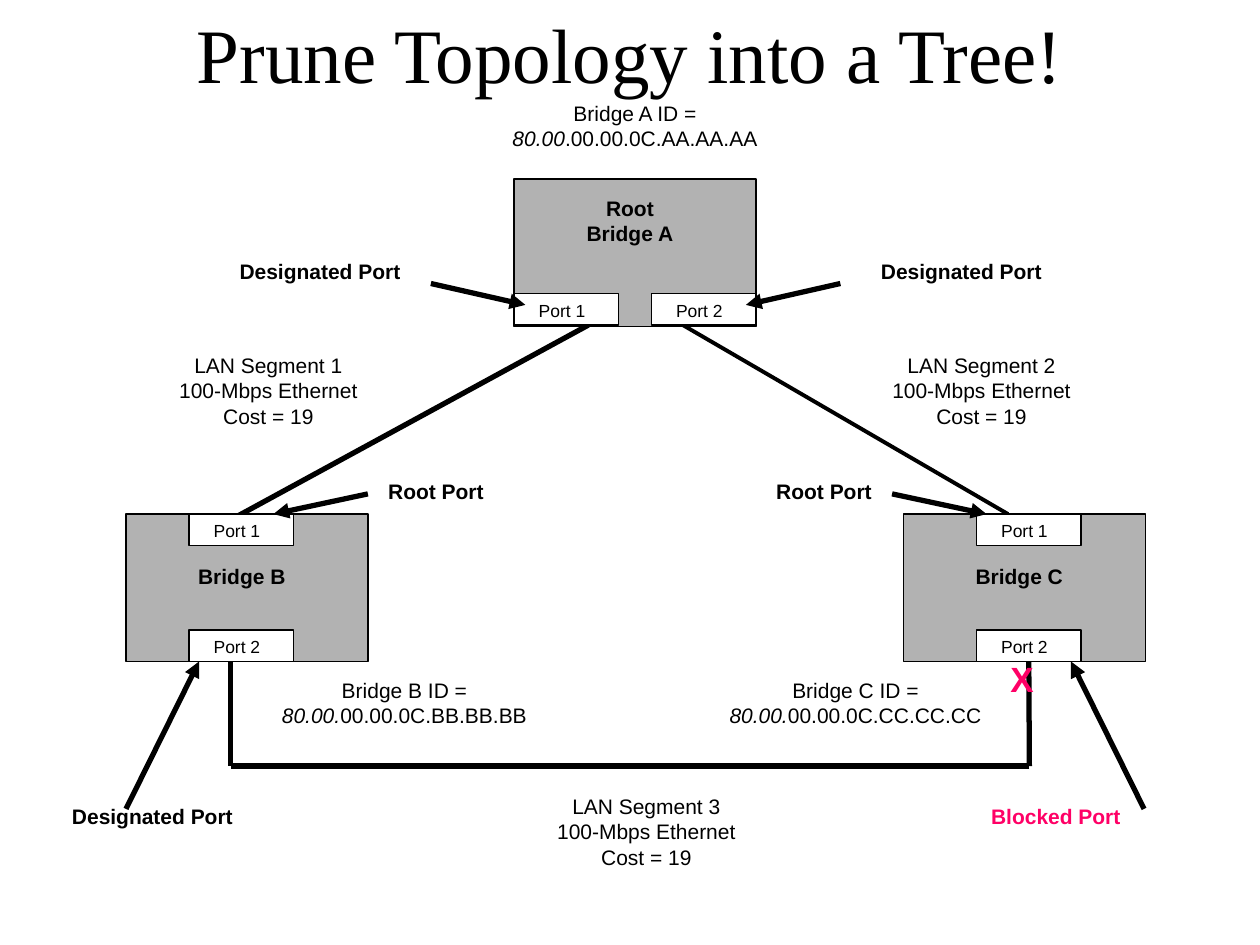
from lxml.etree import SubElement
from pptx import Presentation
from pptx.dml.color import RGBColor
from pptx.enum.shapes import MSO_CONNECTOR, MSO_SHAPE
from pptx.enum.text import MSO_ANCHOR, PP_ALIGN
from pptx.oxml.ns import qn
from pptx.util import Inches, Pt

BLACK, WHITE, GRAY, PINK = "000000", "FFFFFF", "B2B2B2", "FF0066"
BRIDGE_W, BRIDGE_H = 1.92, 1.17
PORT_W, PORT_H = 0.83, 0.25
LABEL_W = 2.92

# Content: label, left, top, label offset from top, label height, ports (name, dx, dy)
BRIDGES = [
    ("Bridge B", 1, 4.08, 0.34, 0.3, [("Port 1", 0.5, 0), ("Port 2", 0.5, 0.92)]),
    ("Bridge C", 7.17, 4.08, 0.34, 0.3, [("Port 1", 0.58, 0), ("Port 2", 0.58, 0.92)]),
    ("Root\nBridge A", 4.08, 1.42, 0.08, 0.5,
     [("Port 1", 0, 0.91), ("Port 2", 1.09, 0.91)]),
]
# Bridge letter, italic priority, rest of the address, left, top
BRIDGE_IDS = [
    ("A", "80.00", ".00.00.0C.AA.AA.AA", 3.58, 0.75),
    ("B", "80.00.", "00.00.0C.BB.BB.BB", 1.75, 5.33),
    ("C", "80.00.", "00.00.0C.CC.CC.CC", 5.33, 5.33),
]
SEGMENTS = [(1, 0.67, 2.75), (2, 6.33, 2.75), (3, 3.67, 6.25)]
# Text, left, top, colour
ROLES = [
    ("Root Port", 2, 3.75, BLACK),
    ("Root Port", 5.08, 3.75, BLACK),
    ("Designated Port", 1.08, 2, BLACK),
    ("Designated Port", 6.17, 2, BLACK),
    ("Designated Port", -0.25, 6.33, BLACK),
    ("Blocked Port", 6.92, 6.33, PINK),
]
# Start, end, width in points
LINKS = [
    ((4.67, 2.58), (1.75, 4.17), 3),
    ((5.42, 2.58), (8, 4.08), 2.25),
    ((8.17, 6.08), (1.83, 6.08), 3),
    ((1.83, 5.25), (1.83, 6.08), 3),
]
ARROWS = [
    ((2.92, 3.92), (2.17, 4.08)),
    ((7.08, 3.92), (7.83, 4.08)),
    ((3.42, 2.25), (4.17, 2.42)),
    ((6.67, 2.25), (5.92, 2.42)),
    ((9.08, 6.42), (8.5, 5.25)),
    ((1, 6.42), (1.58, 5.25)),
]

prs = Presentation()
prs.slide_width, prs.slide_height = Inches(10), Inches(7.5)
s = prs.slides.add_slide(prs.slide_layouts[6])


def rgb(color):
    return RGBColor.from_string(color)


def add_text(text, x, y, w, h, size=12, font="Arial", color=BLACK, bold=False,
             align=PP_ALIGN.CENTER, anchor=MSO_ANCHOR.TOP, wrap=True):
    """Lines are split at newlines; parts between asterisks are italic."""
    tf = s.shapes.add_textbox(Inches(x), Inches(y), Inches(w), Inches(h)).text_frame
    tf.word_wrap, tf.vertical_anchor = wrap, anchor
    for i, line in enumerate(text.split("\n")):
        p = tf.add_paragraph() if i else tf.paragraphs[0]
        p.alignment = align
        for j, part in enumerate(line.split("*")):
            r = p.add_run()
            r.text = part
            r.font.size, r.font.name = Pt(size), font
            r.font.bold, r.font.italic = bold, j % 2 == 1
            r.font.color.rgb = rgb(color)


def add_box(x, y, w, h, fill):
    sp = s.shapes.add_shape(MSO_SHAPE.RECTANGLE, Inches(x), Inches(y), Inches(w), Inches(h))
    sp.shadow.inherit = False
    sp.fill.solid()
    sp.fill.fore_color.rgb = rgb(fill)
    sp.line.color.rgb = rgb(BLACK)
    sp.line.width = Pt(0.75)
    return sp


def add_line(start, end, width=3, arrow=False):
    c = s.shapes.add_connector(MSO_CONNECTOR.STRAIGHT, *map(Inches, start + end))
    c.line.color.rgb = rgb(BLACK)
    c.line.width = Pt(width)
    if arrow:
        SubElement(c.line._get_or_add_ln(), qn("a:tailEnd"), type="triangle")
    SubElement(c._element.spPr, qn("a:effectLst"))
    return c


# Title
add_text("Prune Topology into a Tree!", 0.75, 0.17, 8.5, 0.5, size=44,
         font="Times New Roman", anchor=MSO_ANCHOR.MIDDLE)

# LAN links, behind the bridges
for start, end, width in LINKS:
    add_line(start, end, width)

# Bridges with their ports
ports = {}
for name, x, y, dy, h, bridge_ports in BRIDGES:
    add_box(x, y, BRIDGE_W, BRIDGE_H, GRAY)
    add_text(name, x - 0.08, y + dy, 2, h, bold=True)
    for port, px, py in bridge_ports:
        ports[name, port] = add_box(x + px, y + py, PORT_W, PORT_H, WHITE)
        add_text(port, x + px - 0.08, y + py, 0.92, 0.27, size=10)

# Blocked link down from Bridge C
blocked = add_line((8.17, 5.25), (8.17, 6.08))
blocked.begin_connect(ports["Bridge C", "Port 2"], 2)

# Labels
for letter, priority, rest, x, y in BRIDGE_IDS:
    add_text(f"Bridge {letter} ID = *{priority}*{rest}", x, y, LABEL_W, 0.7)
for number, x, y in SEGMENTS:
    add_text(f"LAN Segment {number}\n100-Mbps Ethernet\nCost = 19", x, y, LABEL_W, 0.7)
for role, x, y, color in ROLES:
    add_text(role, x, y, LABEL_W, 0.3, color=color, bold=True)
add_text("X", 7.92, 5.17, 0.38, 0.44, size=20, color=PINK, bold=True,
         align=PP_ALIGN.LEFT, wrap=False)

# Arrows from roles to ports
for start, end in ARROWS:
    add_line(start, end, arrow=True)

prs.save("out.pptx")
